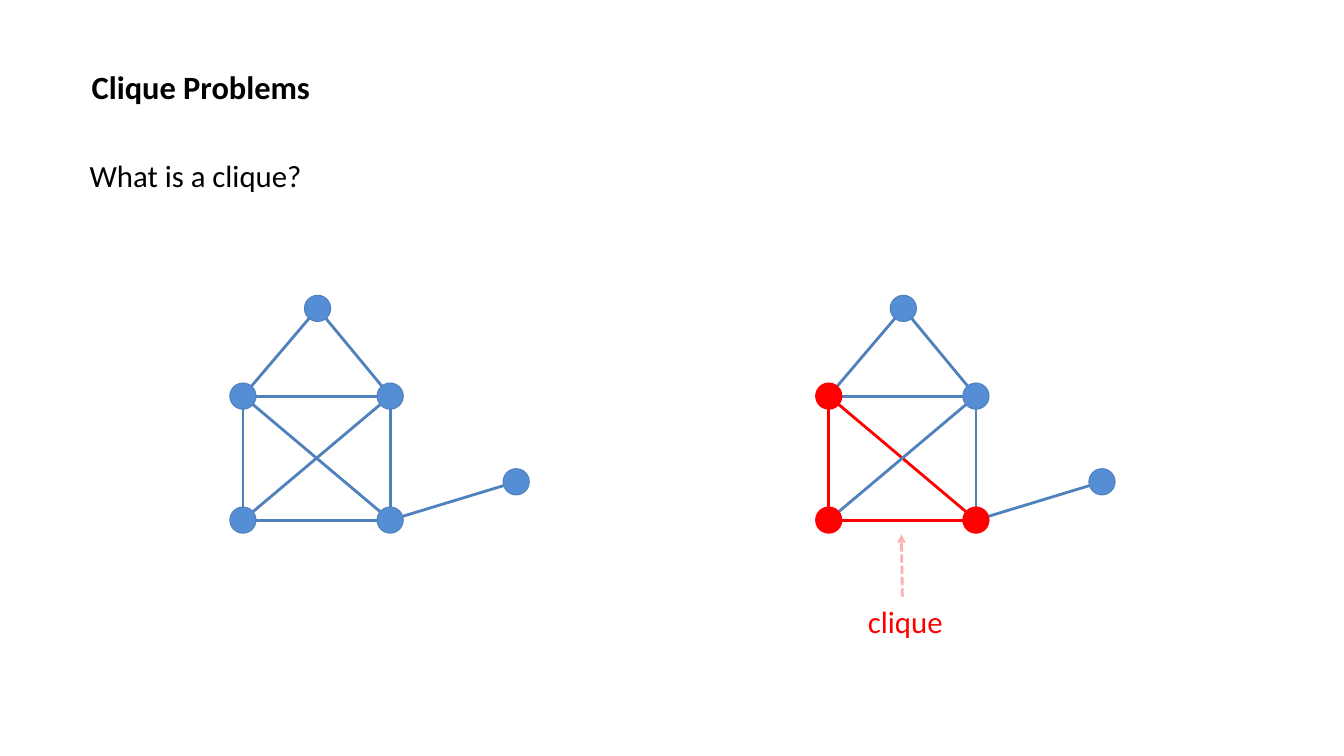
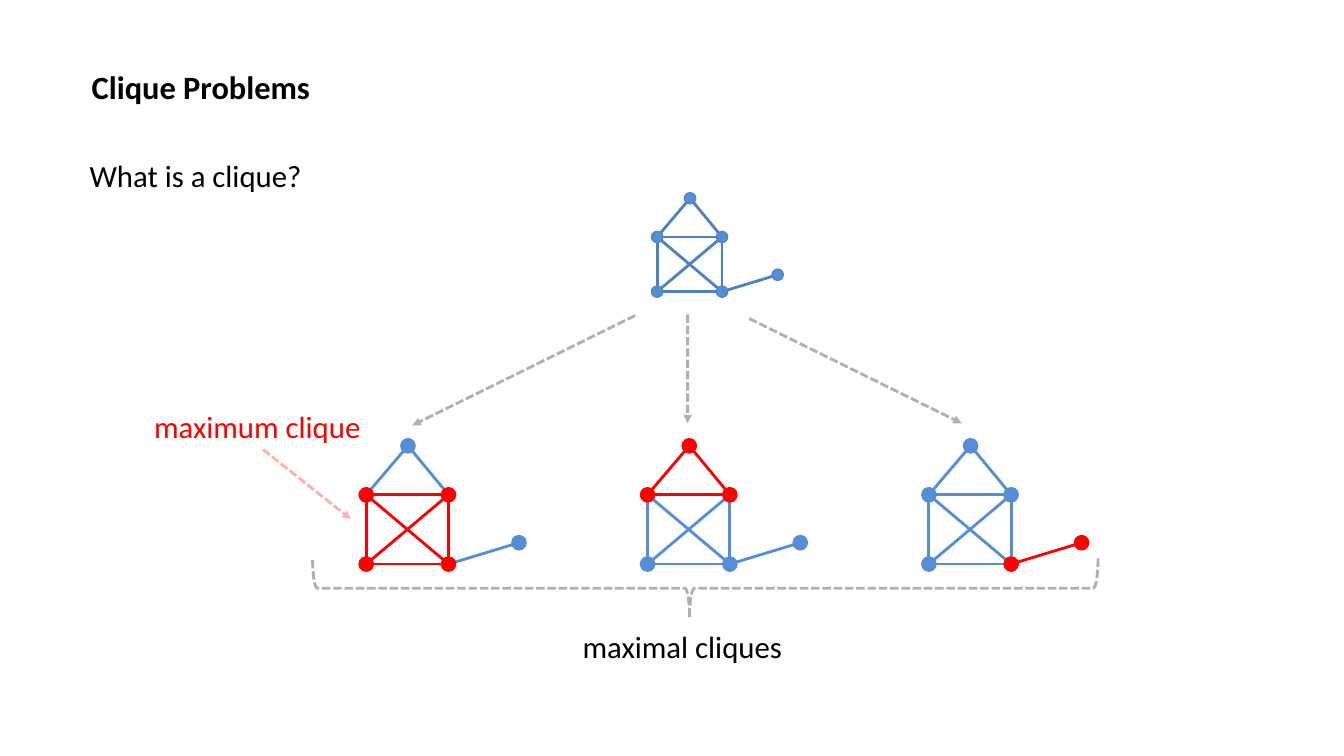
from lxml.etree import SubElement
from pptx import Presentation
from pptx.dml.color import RGBColor
from pptx.enum.dml import MSO_LINE
from pptx.enum.shapes import MSO_CONNECTOR as Link, MSO_SHAPE as Preset
from pptx.enum.text import MSO_ANCHOR as Anchor, MSO_AUTO_SIZE as AutoSize, PP_ALIGN as Align
from pptx.oxml.ns import qn
from pptx.util import Emu, Pt

EMU_PER_PX = 9144  # 100 px to the inch
FONT = "Calibri"
BLACK = RGBColor(0x00, 0x00, 0x00)
RED = RGBColor(0xFF, 0x00, 0x00)
NODE_BLUE = RGBColor(0x55, 0x8E, 0xD5)
EDGE_BLUE = RGBColor(0x4F, 0x81, 0xBD)

# The example graph, drawn in a 297 px wide frame
GRAPH_WIDTH = 297
NODE_SIZE = 26
NODES = {
    "bottom left": (13, 223), "top left": (13, 100),
    "bottom right": (159, 223), "top right": (159, 100),
    "roof": (87, 13), "leaf": (284, 185),
}
EDGES = [
    ("bottom right", "leaf"), ("top left", "roof"), ("roof", "top right"),
    ("top left", "top right"), ("top left", "bottom left"),
    ("top right", "bottom right"), ("bottom left", "bottom right"),
    ("top left", "bottom right"), ("bottom left", "top right"),
]
SQUARE = {"top left", "top right", "bottom left", "bottom right"}
ROOF = {"top left", "top right", "roof"}
LEAF = {"bottom right", "leaf"}
TRIANGLE = {"top left", "bottom left", "bottom right"}


def px(*lengths):
    return [Emu(round(length * EMU_PER_PX)) for length in lengths]


def format_text(paragraph, size, color, bold=False):
    for run in paragraph.runs:
        run.font.name = FONT
        run.font.size = Pt(size)
        run.font.bold = bold
        run.font.color.rgb = color


def add_label(slide, text, box, color=BLACK):
    frame = slide.shapes.add_textbox(*px(*box)).text_frame
    frame.word_wrap = True
    frame.text = text
    paragraph = frame.paragraphs[0]
    format_text(paragraph, 22, color)
    return paragraph


def add_caption(slide, text, box, color=BLACK):
    caption = add_label(slide, text, box, color)
    caption.line_spacing = 0.9
    caption.space_before = Pt(10)


def add_line(shapes, start, end, color):
    line = shapes.add_connector(Link.STRAIGHT, *px(*start, *end))
    line.line.color.rgb = color
    line.line.width = Pt(2)
    SubElement(line.element.spPr, qn("a:effectLst"))
    return line


def make_faint_dashes(shape):
    shape.line.dash_style = MSO_LINE.SQUARE_DOT
    outline = shape.element.spPr.find(qn("a:ln"))
    tint = outline.find(".//" + qn("a:srgbClr"))
    SubElement(tint, qn("a:alpha"), val="31000")
    return outline


def add_arrow(slide, start, end, color=BLACK):
    outline = make_faint_dashes(add_line(slide.shapes, start, end, color))
    SubElement(outline, qn("a:tailEnd"), type="triangle")


def add_brace(slide, box):
    """Right brace turned to open upwards; box is the frame before turning."""
    brace = slide.shapes.add_shape(Preset.RIGHT_BRACE, *px(*box))
    brace.rotation = 90
    brace.adjustments[0] = 0.08
    brace.adjustments[1] = 0.52
    brace.shadow.inherit = False
    brace.fill.background()
    brace.line.color.rgb = BLACK
    brace.line.width = Pt(2)
    make_faint_dashes(brace)


def add_graph(slide, left, top, width, clique=frozenset(), blue=EDGE_BLUE):
    """Example graph with the nodes and edges of the clique in red."""
    scale = width / GRAPH_WIDTH
    centers = {name: (left + x * scale, top + y * scale)
               for name, (x, y) in NODES.items()}
    parts = slide.shapes.add_group_shape().shapes
    for edge in EDGES:
        color = RED if clique.issuperset(edge) else blue
        add_line(parts, *(centers[name] for name in edge), color)
    size = NODE_SIZE * scale
    for name, (x, y) in centers.items():
        node = parts.add_shape(Preset.OVAL, *px(x - size / 2, y - size / 2, size, size))
        node.shadow.inherit = False
        node.fill.solid()
        node.fill.fore_color.rgb = RED if name in clique else NODE_BLUE
        node.line.color.rgb = RED if name in clique else blue
        node.line.width = Pt(0.75)


def add_clique_slide(deck):
    """Slide with the shared title and question."""
    slide = deck.slides.add_slide(deck.slide_layouts[5])
    title = slide.shapes.title
    title.left, title.top, title.width, title.height = px(80, 58, 1008, 55)
    frame = title.text_frame
    frame.text = "Clique Problems"
    frame.auto_size = AutoSize.NONE
    frame.vertical_anchor = Anchor.MIDDLE
    frame.margin_left, frame.margin_top, frame.margin_right, frame.margin_bottom = px(11, 6, 11, 6)
    frame.paragraphs[0].alignment = Align.LEFT
    format_text(frame.paragraphs[0], 23.2, BLACK, bold=True)
    question = add_label(slide, "What is a clique?", (79, 151, 235, 47))
    question.alignment = Align.JUSTIFY
    return slide


def build_definition(deck):
    slide = add_clique_slide(deck)
    add_graph(slide, 228, 293, GRAPH_WIDTH)
    add_graph(slide, 809, 293, GRAPH_WIDTH, TRIANGLE)
    add_caption(slide, "clique", (851, 597, 104, 46), RED)
    add_arrow(slide, (895, 592), (894, 530), RED)


def build_maximal_cliques(deck):
    slide = add_clique_slide(deck)
    # Source graph and its three maximal cliques
    add_graph(slide, 646, 191, 131)
    for column, clique in enumerate((SQUARE, ROOF, LEAF)):
        add_graph(slide, 356 + 279 * column, 435, 166, clique, NODE_BLUE)
    for start, end in (((630, 313), (409, 422)),
                       ((682, 312), (682, 420)),
                       ((743, 316), (954, 420))):
        add_arrow(slide, start, end)
    # Captions
    add_brace(slide, (670, 194, 59, 779))
    add_caption(slide, "maximal cliques", (568, 622, 220, 35))
    add_arrow(slide, (261, 446), (348, 515), RED)
    add_caption(slide, "maximum clique", (143, 404, 241, 29), RED)


def main():
    deck = Presentation()
    deck.slide_width, deck.slide_height = px(1333, 750)
    build_definition(deck)
    build_maximal_cliques(deck)
    deck.save("out.pptx")


if __name__ == "__main__":
    main()
